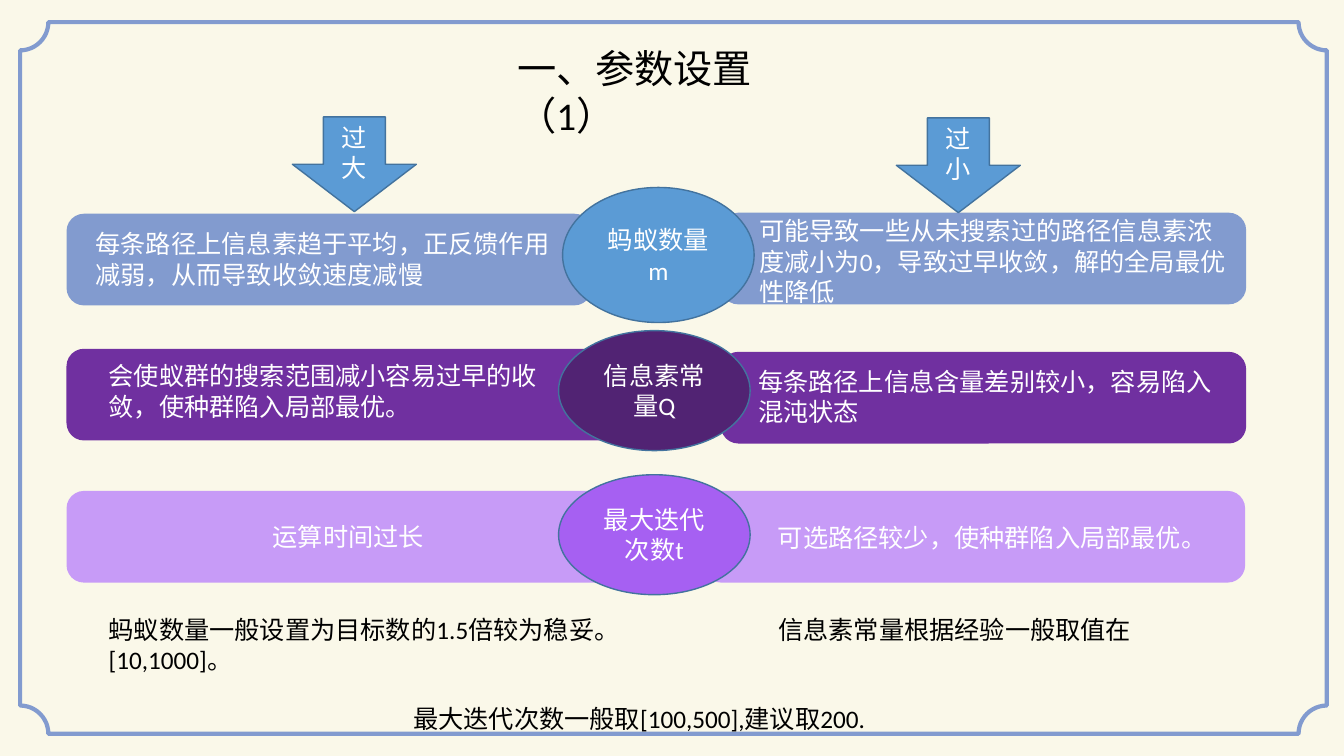
from math import cos, pi, sin

from lxml.etree import SubElement
from pptx import Presentation
from pptx.dml.color import RGBColor
from pptx.enum.shapes import MSO_SHAPE as Preset
from pptx.enum.text import MSO_ANCHOR as Anchor, MSO_AUTO_SIZE as AutoSize, PP_ALIGN as Align
from pptx.oxml.ns import qn
from pptx.util import Inches, Pt

LATIN, CHINESE = "Calibri", "Noto Sans CJK SC"
WHITE, BLACK = "FFFFFF", "000000"
CREAM, PERIWINKLE, PURPLE, LILAC = "FAF8E9", "829BCF", "7030A0", "C79BF7"
BLUE, PLUM, VIOLET, EDGE = "5B9BD5", "512373", "A660F2", "43739E"

BARS = [
    ((0.66, 4.87, 5.59, 0.91), LILAC, "运算时间过长"),
    ((0.66, 3.46, 5.6, 0.91), PURPLE, ""),
    ((0.66, 2.12, 5.21, 0.91), PERIWINKLE, ""),
    ((6.98, 4.87, 5.37, 0.91), LILAC, ""),
    ((7.15, 3.49, 5.21, 0.91), PURPLE, ""),
    ((7.15, 2.11, 5.21, 0.91), PERIWINKLE, ""),
]
EFFECTS = [
    ((0.85, 2.22, 4.83, 0.71), "每条路径上信息素趋于平均，正反馈作用减弱，从而导致收敛速度减慢", LATIN, Align.LEFT),
    ((7.43, 2.09, 4.83, 1.01), "可能导致一些从未搜索过的路径信息素浓度减小为0，导致过早收敛，解的全局最优性降低",
     LATIN, Align.LEFT),
    ((0.98, 3.53, 4.56, 0.71), "会使蚁群的搜索范围减小容易过早的收敛，使种群陷入局部最优。", CHINESE, Align.LEFT),
    ((7.42, 3.58, 4.84, 0.71), "每条路径上信息含量差别较小，容易陷入混沌状态", CHINESE, Align.LEFT),
    ((7.42, 5.13, 4.84, 0.4), "可选路径较少，使种群陷入局部最优。", CHINESE, Align.CENTER),
]
MARKERS = [
    (Preset.OVAL, (5.58, 1.86, 1.9, 1.34), BLUE, "蚂蚁数量m"),
    (Preset.OVAL, (5.54, 3.28, 1.9, 1.19), PLUM, "信息素常量Q"),
    (Preset.OVAL, (5.54, 4.71, 1.9, 1.19), VIOLET, "最大迭代次数t"),
    (Preset.DOWN_ARROW, (2.9, 1.16, 1.23, 0.94), BLUE, "过大"),
    (Preset.DOWN_ARROW, (8.89, 1.17, 1.23, 0.94), BLUE, "过小"),
]


def color(hex_code):
    """Turn a hex string into a colour."""
    return RGBColor.from_string(hex_code)


def apply(target, values):
    """Set every attribute named in values on target."""
    for name, value in values.items():
        setattr(target, name, value)


def write(paragraph, text, ink=WHITE, font=LATIN, size=18, align=Align.LEFT):
    """Write one formatted run into a paragraph."""
    paragraph.alignment = align
    run = paragraph.add_run()
    run.text = text
    apply(run.font, {"name": font, "size": Pt(size), "bold": False})
    run.font.color.rgb = color(ink)


def add_block(slide, preset, box, fill, text, edge=None):
    """Add a filled preset shape with centred white text."""
    block = slide.shapes.add_shape(preset, *map(Inches, box))
    block.shadow.inherit = False
    block.fill.solid()
    block.fill.fore_color.rgb = color(fill)
    if edge:
        block.line.color.rgb = color(edge)
        block.line.width = Pt(1)
    else:
        block.line.fill.background()
    if text:
        block.text_frame.vertical_anchor = Anchor.MIDDLE
        write(block.text_frame.paragraphs[0], text, align=Align.CENTER)
    return block


def add_textbox(slide, box):
    """Add an empty wrapping text box and return its text frame."""
    frame = slide.shapes.add_textbox(*map(Inches, box)).text_frame
    apply(frame, {"word_wrap": True, "auto_size": AutoSize.SHAPE_TO_FIT_TEXT})
    return frame


def add_title(slide, box, text):
    """Place and format the title placeholder."""
    title = slide.shapes.title
    apply(title, dict(zip(("left", "top", "width", "height"), map(Inches, box))))
    apply(title.text_frame, {"word_wrap": True, "vertical_anchor": Anchor.TOP,
                             "auto_size": AutoSize.SHAPE_TO_FIT_TEXT})
    write(title.text_frame.paragraphs[0], text, BLACK, size=28)


def add_border(slide, left, top, right, bottom, radius, steps=12):
    """Outline the slide with a frame whose corners curve inward."""
    corners = [(left, top, pi / 2), (right, top, pi),
               (right, bottom, 3 * pi / 2), (left, bottom, 2 * pi)]
    points = []
    for x, y, start in corners:
        angles = [start - pi / 2 * step / steps for step in range(steps + 1)]
        points += [(Inches(x + radius * cos(a)), Inches(y + radius * sin(a))) for a in angles]
    builder = slide.shapes.build_freeform(*points[0])
    builder.add_line_segments(points[1:], close=True)
    border = builder.convert_to_shape()
    border.shadow.inherit = False
    border.fill.background()
    border.line.color.rgb = color(PERIWINKLE)
    border.line.width = Pt(3)


def add_advice(slide):
    """Add the recommended parameter values below the bars."""
    frame = add_textbox(slide, (0.98, 6.04, 11.28, 1.01))
    ranges = frame.paragraphs[0]
    write(ranges, "蚂蚁数量一般设置为目标数的1.5倍较为稳妥。\t信息素常量根据经验一般取值在[10,1000]。", BLACK)
    tabs = SubElement(ranges._p.get_or_add_pPr(), qn("a:tabLst"))
    SubElement(tabs, qn("a:tab"), pos=str(Inches(6.64)), algn="l")
    iterations = frame.add_paragraph()
    write(iterations, "最大迭代次数一般取[100,500],建议取200.", BLACK)
    iterations.space_before = Pt(21)
    iterations._p.get_or_add_pPr().set("marL", str(Inches(3.02)))


def main():
    """Build the parameter slide and save it."""
    deck = Presentation()
    apply(deck, {"slide_width": Inches(13.33), "slide_height": Inches(7.5)})
    slide = deck.slides.add_slide(deck.slide_layouts[5])
    slide.background.fill.solid()
    slide.background.fill.fore_color.rgb = color(CREAM)
    add_title(slide, (5.03, 0.39, 3.27, 0.57), "一、参数设置（1）")
    add_border(slide, 0.2, 0.22, 13.16, 7.28, 0.28)
    for box, fill, text in BARS:
        add_block(slide, Preset.ROUNDED_RECTANGLE, box, fill, text).adjustments[0] = 0.19
    for box, text, font, align in EFFECTS:
        write(add_textbox(slide, box).paragraphs[0], text, font=font, align=align)
    for preset, box, fill, text in MARKERS:
        add_block(slide, preset, box, fill, text, EDGE)
    add_advice(slide)
    deck.save("out.pptx")


if __name__ == "__main__":
    main()
